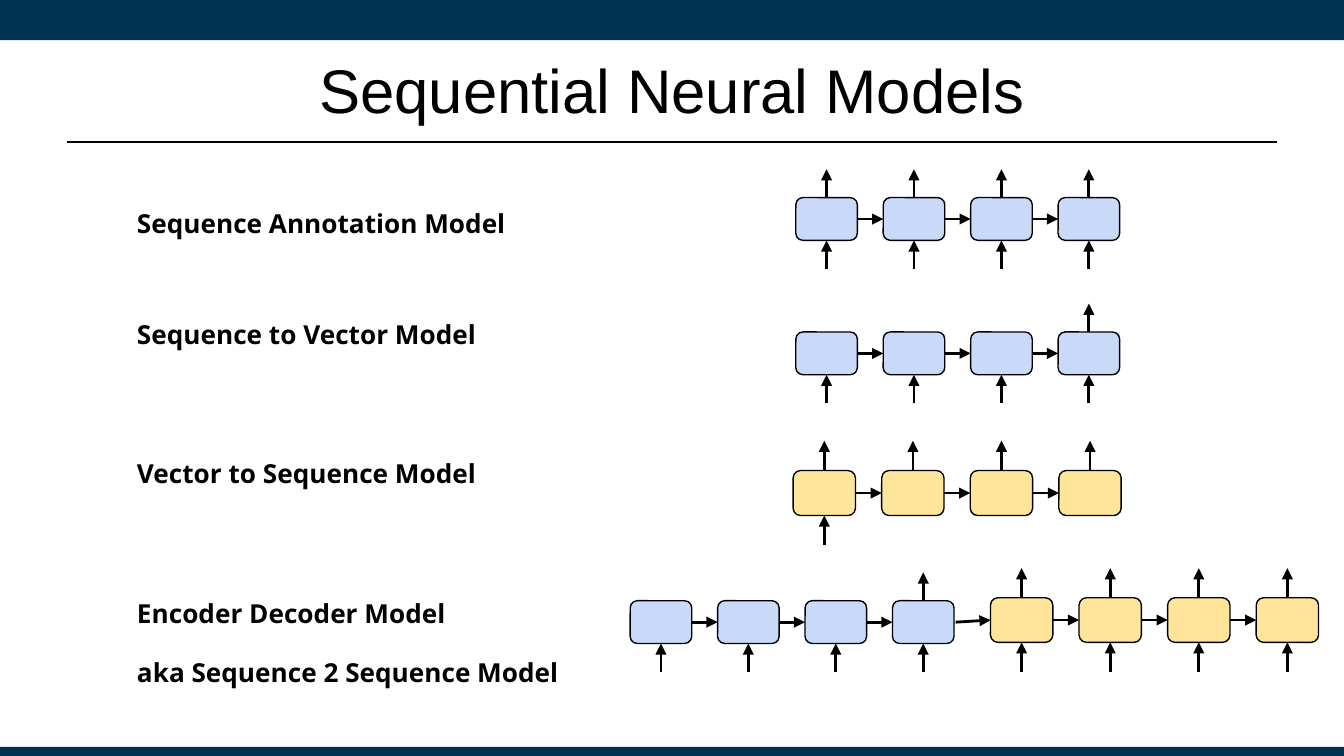
from lxml import etree
from pptx import Presentation
from pptx.dml.color import RGBColor
from pptx.enum.shapes import MSO_CONNECTOR, MSO_SHAPE
from pptx.enum.text import MSO_ANCHOR, PP_ALIGN
from pptx.oxml.ns import qn
from pptx.util import Cm, Pt

RECTANGLE = MSO_SHAPE.RECTANGLE
ROUNDED = MSO_SHAPE.ROUNDED_RECTANGLE
STRAIGHT = MSO_CONNECTOR.STRAIGHT
MIDDLE = MSO_ANCHOR.MIDDLE
CENTER = PP_ALIGN.CENTER

NAVY, BLACK = "003252", "000000"
ENCODER_BLUE, DECODER_YELLOW = "C9DAF8", "FFE599"
SLIDE_WIDTH, SLIDE_HEIGHT = 25.4, 14.29
STEPS = 4
ALL, FIRST, LAST = range(STEPS), [0], [STEPS - 1]


def color(hex_value):
    return RGBColor.from_string(hex_value)


def add_block(shapes, kind, box, fill):
    block = shapes.add_shape(kind, *map(Cm, box))
    block.shadow.inherit = False
    block.fill.solid()
    block.fill.fore_color.rgb = color(fill)
    return block


def add_line(shapes, start, end, width, arrow=True):
    connector = shapes.add_connector(STRAIGHT, *map(Cm, (*start, *end)))
    connector.line.color.rgb = color(BLACK)
    connector.line.width = Pt(width)
    if arrow:
        outline = connector.line._get_or_add_ln()
        etree.SubElement(outline, qn("a:tailEnd"), type="triangle")
    etree.SubElement(connector._element.spPr, qn("a:effectLst"))


def add_text(shapes, box, lines, font_name, size, inset, bold=False):
    frame = shapes.add_textbox(*map(Cm, box)).text_frame
    frame.word_wrap = True
    frame.margin_left = frame.margin_right = Cm(inset)
    frame.margin_top = frame.margin_bottom = Cm(inset)
    frame.text = "\n".join(lines)
    for paragraph in frame.paragraphs:
        paragraph.font.name = font_name
        paragraph.font.size = Pt(size)
        paragraph.font.bold = bold
        paragraph.font.color.rgb = color(BLACK)
    return frame


def place_bar(shapes, box):
    add_block(shapes, RECTANGLE, box, NAVY).line.fill.background()


def place_title(shapes, box):
    left, top, width, height = box
    frame = add_text(shapes, box, ["Sequential Neural Models"], "Arial", 33, 0.15)
    frame.vertical_anchor = MIDDLE
    frame.paragraphs[0].alignment = CENTER
    rule_y = top + height - 0.18
    add_line(shapes, (left, rule_y), (left + width, rule_y), 1.25, arrow=False)


def place_label(shapes, box, lines):
    frame = add_text(shapes, box, lines, "Open Sans", 14, 0.25, bold=True)
    for paragraph in frame.paragraphs:
        paragraph.line_spacing = 0.9
    for paragraph in frame.paragraphs[1:]:
        paragraph.space_before = Pt(16.8)


def place_chain(shapes, box, fill, inputs, outputs):
    left, top, width, height = box
    cell_width = 0.19 * width
    stride = (width - cell_width) / (STEPS - 1)
    arrow_length = 0.285 * height
    cell_top, cell_bottom = top + arrow_length, top + height - arrow_length
    middle = top + height / 2
    chain = shapes.add_group_shape().shapes
    for step in range(STEPS):
        cell_left = left + step * stride
        center = cell_left + cell_width / 2
        cell_box = (cell_left, cell_top, cell_width, cell_bottom - cell_top)
        cell = add_block(chain, ROUNDED, cell_box, fill)
        cell.line.color.rgb = color(BLACK)
        cell.line.width = Pt(0.75)
        if step:
            previous_right = cell_left - stride + cell_width
            add_line(chain, (previous_right, middle), (cell_left, middle), 1.5)
        if step in inputs:
            add_line(chain, (center, top + height), (center, cell_bottom), 1.5)
        if step in outputs:
            add_line(chain, (center, cell_top), (center, top), 1.5)


def place_encoder_decoder(shapes, encoder_box, decoder_box):
    place_chain(shapes, encoder_box, ENCODER_BLUE, ALL, LAST)
    place_chain(shapes, decoder_box, DECODER_YELLOW, ALL, ALL)
    left, top, width, height = encoder_box
    encoder_exit = (left + width + 0.03, top + height / 2)
    decoder_entry = (decoder_box[0], decoder_box[1] + decoder_box[3] / 2)
    add_line(shapes, encoder_exit, decoder_entry, 1.5)


def main():
    presentation = Presentation()
    presentation.slide_width = Cm(SLIDE_WIDTH)
    presentation.slide_height = Cm(SLIDE_HEIGHT)
    shapes = presentation.slides.add_slide(presentation.slide_layouts[6]).shapes

    place_bar(shapes, (0, 0, SLIDE_WIDTH, 0.76))
    place_bar(shapes, (0, 14.12, SLIDE_WIDTH, 0.17))
    place_title(shapes, (1.27, 0.48, 22.86, 2.39))

    labels = [
        (3.73, 8.92, ["Sequence Annotation Model"]),
        (5.84, 7.65, ["Sequence to Vector Model"]),
        (8.46, 7.65, ["Vector to Sequence Model"]),
        (11.1, 9.58, ["Encoder Decoder Model", "aka Sequence 2 Sequence Model"]),
    ]
    for top, width, lines in labels:
        place_label(shapes, (2.34, top, width, 1.24), lines)

    place_chain(shapes, (15.04, 3.2, 6.12, 1.88), ENCODER_BLUE, ALL, ALL)
    place_chain(shapes, (15.04, 5.74, 6.12, 1.88), ENCODER_BLUE, ALL, LAST)
    place_chain(shapes, (14.99, 8.33, 6.2, 1.98), DECODER_YELLOW, FIRST, ALL)
    place_encoder_decoder(
        shapes, (11.91, 10.82, 6.12, 1.88), (18.72, 10.74, 6.2, 1.96)
    )

    presentation.save("out.pptx")


if __name__ == "__main__":
    main()
